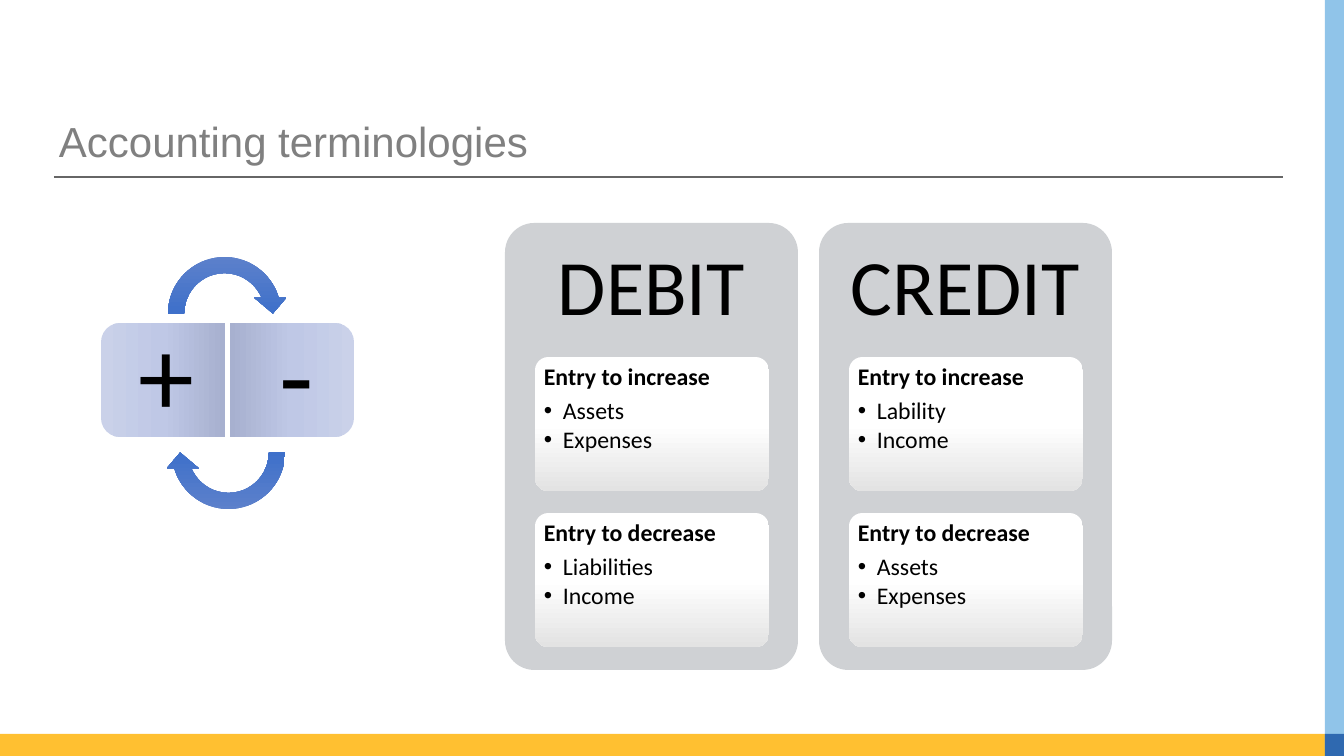
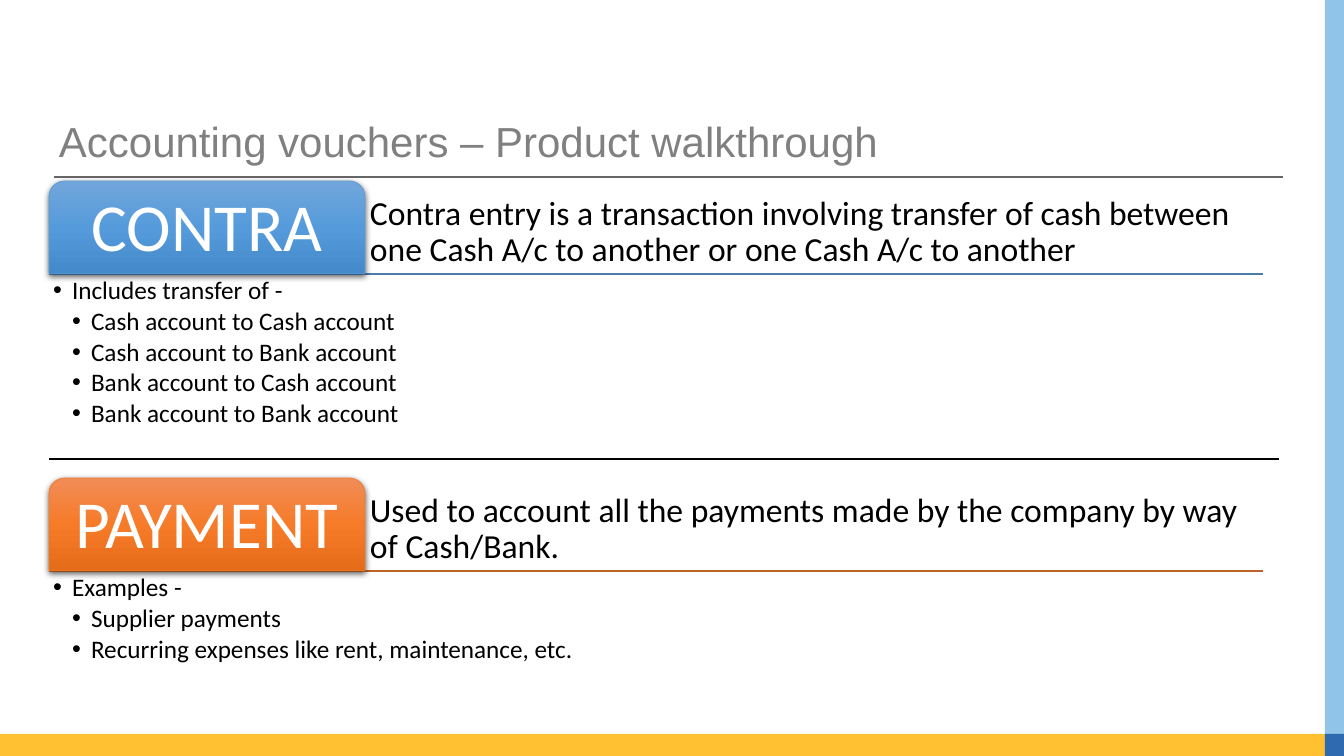
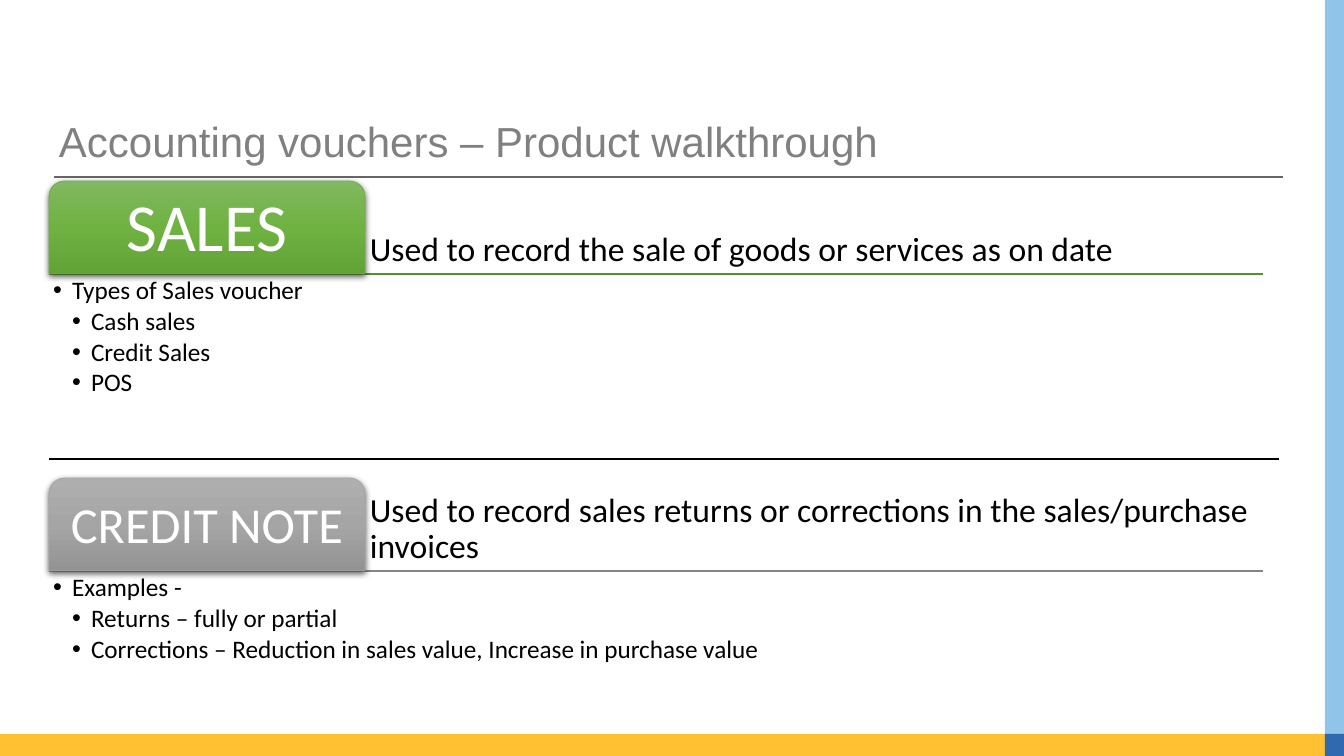
from pptx import Presentation
from pptx.dml.color import RGBColor
from pptx.enum.shapes import MSO_CONNECTOR, MSO_SHAPE
from pptx.enum.text import MSO_ANCHOR, PP_ALIGN
from pptx.oxml import parse_xml
from pptx.oxml.ns import nsdecls, qn
from pptx.util import Pt
from lxml.etree import SubElement

COLORS = {
    "title": "808080", "rule": "666666", "amber": "FFC031", "sky": "90C4E9",
    "corner": "2F69B0", "panel": "CFD1D4", "black": "000000", "white": "FFFFFF",
}
GRADIENTS = {
    "tile": ("CAD1E9", "BFC8E6", "A7B0CF"),
    "arrow": ("6183CB", "3E70CA", "3062BB"),
    "card": ("FFFFFF", "FFFFFF", "E3E3E3"),
}
TAGS = {
    "blue": {"fill": ("71A6DB", "559BDB", "448ACA"), "edge": "5B9BD5", "rule": "497CAB"},
    "orange": {"fill": ("F18C57", "F67B28", "E56C19"), "edge": "ED7D31", "rule": "BE6427"},
    "green": {"fill": ("81B861", "6FB242", "62A336"), "edge": "70AD47", "rule": "5A8B39"},
    "gray": {"fill": ("AFAFAF", "A5A5A5", "939393"), "edge": "A5A5A5", "rule": "848484"},
}

TERMS_TITLE = "Accounting terminologies"
VOUCHERS_TITLE = "Accounting vouchers – Product walkthrough"
SIGNS = [("+", 106, 270, 116), ("-", 235, 90, 247)]
ARROWS = [(160, 249, 0), (164, 388, 180)]
PANELS = [
    ("DEBIT", [("Entry to increase", ["Assets", "Expenses"]),
               ("Entry to decrease", ["Liabilities", "Income"])]),
    ("CREDIT", [("Entry to increase", ["Lability", "Income"]),
                ("Entry to decrease", ["Assets", "Expenses"])]),
]
VOUCHERS = [
    [("CONTRA", 48, "blue",
      "Contra entry is a transaction involving transfer of cash between one Cash A/c "
      "to another or one Cash A/c to another",
      "Includes transfer of -",
      ["Cash account to Cash account", "Cash account to Bank account",
       "Bank account to Cash account", "Bank account to Bank account"]),
     ("PAYMENT", 48, "orange",
      "Used to account all the payments made by the company by way of Cash/Bank.",
      "Examples -",
      ["Supplier payments", "Recurring expenses like rent, maintenance, etc."])],
    [("SALES", 48, "green",
      "Used to record the sale of goods or services as on date",
      "Types of Sales voucher", ["Cash sales", "Credit Sales", "POS"]),
     ("CREDIT NOTE", 36, "gray",
      "Used to record sales returns or corrections in the sales/purchase invoices",
      "Examples -",
      ["Returns – fully or partial",
       "Corrections – Reduction in sales value, Increase in purchase value"])],
]
INDENT = 19


def px(n):
    return round(n * 914400 / 100.8)


def rgb(value):
    return RGBColor.from_string(value)


def add_shape(s, kind, box, fill, rot=0, adj=()):
    sp = s.shapes.add_shape(kind, *map(px, box))
    sp.shadow.inherit = False
    sp.line.fill.background()
    sp.rotation = rot
    for i, value in enumerate(adj):
        sp.adjustments[i] = value
    if isinstance(fill, str):
        sp.fill.solid()
        sp.fill.fore_color.rgb = rgb(fill)
    else:
        stops = "".join(f'<a:gs pos="{i * 50000}"><a:srgbClr val="{c}"/></a:gs>'
                        for i, c in enumerate(fill))
        grad = parse_xml(f'<a:gradFill {nsdecls("a")} rotWithShape="1"><a:gsLst>{stops}</a:gsLst>'
                         '<a:lin ang="5400000" scaled="0"/></a:gradFill>')
        sp._element.spPr.find(qn("a:prstGeom")).addnext(grad)
    return sp


def add_line(s, x1, x2, y, color, width):
    line = s.shapes.add_connector(MSO_CONNECTOR.STRAIGHT, px(x1), px(y), px(x2), px(y))
    line.line.color.rgb = rgb(color)
    line.line.width = Pt(width)
    SubElement(line._element.spPr, qn("a:effectLst"))


def add_shadow(sp):
    effects = sp._element.spPr.find(qn("a:effectLst"))
    effects.append(parse_xml(
        f'<a:outerShdw {nsdecls("a")} blurRad="57150" dist="19050" dir="5400000" algn="ctr" '
        'rotWithShape="0"><a:srgbClr val="000000"><a:alpha val="63000"/></a:srgbClr></a:outerShdw>'))


def write(sp, paras, size, color="black", font="Calibri", anchor=MSO_ANCHOR.MIDDLE,
          align=PP_ALIGN.LEFT, inset=(0, 0)):
    tf = sp.text_frame
    tf.word_wrap = True
    tf.vertical_anchor = anchor
    tf.margin_left = tf.margin_right = px(inset[0])
    tf.margin_top = tf.margin_bottom = px(inset[1])
    for i, (text, level, bold) in enumerate(paras):
        p = tf.add_paragraph() if i else tf.paragraphs[0]
        p.alignment = align
        p.line_spacing = 0.9
        p.space_after = Pt(2.5 if level else 6)
        if level:
            pPr = p._p.get_or_add_pPr()
            pPr.set("marL", str(px(INDENT * level)))
            pPr.set("indent", str(-px(INDENT)))
            SubElement(pPr, qn("a:buFont"), typeface="Arial")
            SubElement(pPr, qn("a:buChar"), char="•")
        r = p.add_run()
        r.text = text
        r.font.name = font
        r.font.size = Pt(size)
        r.font.bold = bold
        r.font.color.rgb = rgb(COLORS[color])


def add_text(s, box, paras, size, **style):
    write(s.shapes.add_textbox(*map(px, box)), paras, size, **style)


def new_slide(prs, title):
    s = prs.slides.add_slide(prs.slide_layouts[6])
    add_line(s, 54, 1283, 177, COLORS["rule"], 0.82)
    for box, color in [((0, 734, 1336, 22), "amber"), ((1325, 0, 19, 749), "sky"),
                       ((1325, 734, 19, 22), "corner")]:
        add_shape(s, MSO_SHAPE.RECTANGLE, box, COLORS[color])
    add_text(s, (49, 119, 1230, 50), [(title, 0, False)], 30, color="title", font="Arial",
             inset=(10, 5))
    return s


def add_signs(s):
    for sign, x, rot, text_x in SIGNS:
        add_shape(s, MSO_SHAPE.ROUND_2_SAME_RECTANGLE, (x, 318, 114, 124), GRADIENTS["tile"],
                  rot, (0.167, 0))
        add_text(s, (text_x, 329, 100, 102), [(sign, 0, False)], 80, align=PP_ALIGN.CENTER)
    for x, y, rot in ARROWS:
        add_shape(s, MSO_SHAPE.CIRCULAR_ARROW, (x, y, 129, 129), GRADIENTS["arrow"], rot,
                  (0.125, 11.42, 204.58, 108, 0.125))


def add_panels(s):
    for col, (name, cards) in enumerate(PANELS):
        x = 505 + col * 314
        add_shape(s, MSO_SHAPE.ROUNDED_RECTANGLE, (x, 223, 293, 447), COLORS["panel"], adj=(0.1,))
        add_text(s, (x, 223, 293, 134), [(name, 0, False)], 56, align=PP_ALIGN.CENTER,
                 inset=(23, 23))
        for row, (head, items) in enumerate(cards):
            card = add_shape(s, MSO_SHAPE.ROUNDED_RECTANGLE, (x + 30, 357 + row * 156, 234, 134),
                             GRADIENTS["card"], adj=(0.1,))
            write(card, [(head, 0, True)] + [(item, 1, False) for item in items], 17,
                  anchor=MSO_ANCHOR.TOP, inset=(5, 4))


def add_voucher(s, top, name, size, tone, meaning, head, items):
    tag = TAGS[tone]
    bottom = top + 93
    add_line(s, 49, 1263, bottom, tag["rule"], 1)
    add_text(s, (365, top, 898, 93), [(meaning, 0, False)], 24, anchor=MSO_ANCHOR.BOTTOM,
             inset=(5, 5))
    sp = add_shape(s, MSO_SHAPE.ROUND_2_SAME_RECTANGLE, (49, top, 316, 93), tag["fill"],
                   adj=(0.167, 0))
    sp.line.color.rgb = rgb(tag["edge"])
    sp.line.width = Pt(0.5)
    add_shadow(sp)
    write(sp, [(name, 0, False)], size, color="white", align=PP_ALIGN.CENTER)
    add_text(s, (49, bottom, 1214, 160), [(head, 1, False)] + [(item, 2, False) for item in items],
             18, anchor=MSO_ANCHOR.TOP, inset=(4, 4))


def main():
    prs = Presentation()
    prs.slide_width, prs.slide_height = px(1344), px(756)
    s = new_slide(prs, TERMS_TITLE)
    add_signs(s)
    add_panels(s)
    for vouchers in VOUCHERS:
        s = new_slide(prs, VOUCHERS_TITLE)
        add_line(s, 49, 1279, 459, COLORS["black"], 1.5)
        for i, voucher in enumerate(vouchers):
            add_voucher(s, 181 + i * 297, *voucher)
    prs.save("out.pptx")


if __name__ == "__main__":
    main()
